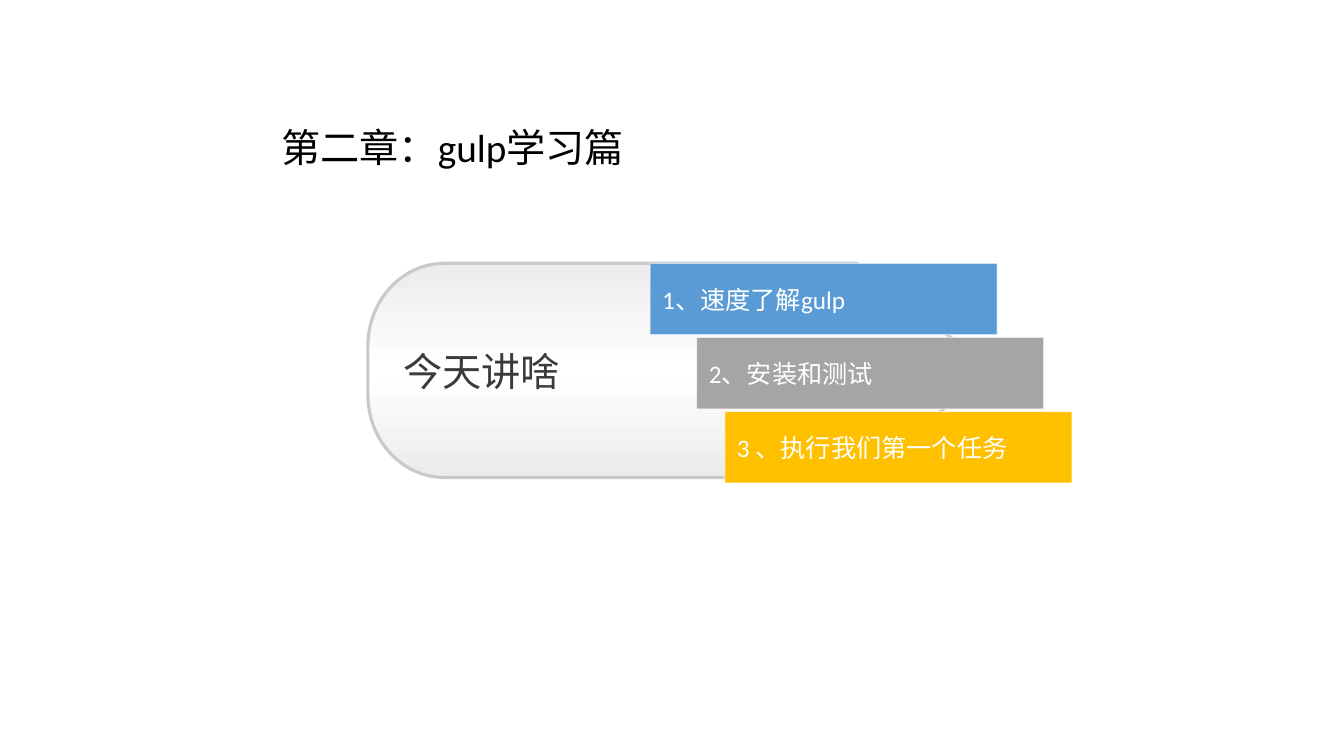
from copy import deepcopy
from math import cos, pi, sin

from lxml import etree
from pptx import Presentation
from pptx.dml.color import RGBColor
from pptx.enum.shapes import MSO_SHAPE
from pptx.enum.text import MSO_ANCHOR, MSO_AUTO_SIZE, PP_ALIGN
from pptx.oxml.ns import qn
from pptx.util import Inches, Pt

RECTANGLE = MSO_SHAPE.RECTANGLE
MIDDLE, TOP = MSO_ANCHOR.MIDDLE, MSO_ANCHOR.TOP
LEFT = PP_ALIGN.LEFT
GROW = MSO_AUTO_SIZE.SHAPE_TO_FIT_TEXT

COLORS = {
    "ink": "000000", "heading": "3B3B3B", "white": "FFFFFF",
    "panel_edge": "C9C9C9", "panel_shade": "ECECEC",
    "blue": "5B9BD5", "gray": "A5A5A5", "gold": "FFC000",
}
LATIN, CJK = "Calibri", "Noto Sans CJK SC"
COLUMNS, ROWS = 160, 90


class AgendaSlide:
    """Hold the slide, its grid and its style."""

    def __init__(self, deck):
        """Add a blank slide and work out the grid cell."""
        self.slide = deck.slides.add_slide(deck.slide_layouts[6])
        self.column = deck.slide_width / COLUMNS
        self.row = deck.slide_height / ROWS

    def place(self, x, y):
        """Turn a grid position or extent into slide units."""
        return round(x * self.column), round(y * self.row)

    def color(self, name):
        """Look up a named colour."""
        return RGBColor.from_string(COLORS[name])

    def add_words(self, shape, words, size, color, font=LATIN, anchor=MIDDLE,
                  insets=(0.1, 0.05, 0.1, 0.05)):
        """Fill a shape with one left-aligned run."""
        frame = shape.text_frame
        frame.word_wrap = True
        frame.vertical_anchor = anchor
        (frame.margin_left, frame.margin_top,
         frame.margin_right, frame.margin_bottom) = map(Inches, insets)
        paragraph = frame.paragraphs[0]
        paragraph.alignment = LEFT
        run = paragraph.add_run()
        run.text = words
        run.font.size = Pt(size)
        run.font.name = font
        run.font.color.rgb = self.color(color)
        properties = run._r.get_or_add_rPr()
        etree.SubElement(properties, qn("a:ea")).set("typeface", CJK)

    def outline(self, shape, color, width, opacity=100):
        """Draw the border and drop the shadow."""
        shape.shadow.inherit = False
        shape.line.color.rgb = self.color(color)
        shape.line.width = Pt(width)
        if opacity < 100:
            edge = shape._element.spPr.find(qn("a:ln")).find(
                ".//" + qn("a:srgbClr"))
            etree.SubElement(edge, qn("a:alpha")).set("val", str(opacity * 1000))

    def title(self, words, x, y, width, height):
        """Add the chapter title."""
        box = self.slide.shapes.add_textbox(
            *self.place(x, y), *self.place(width, height))
        self.add_words(box, words, 28, "ink", anchor=TOP)
        box.text_frame.auto_size = GROW

    def bar(self, words, fill, x, y, width, height):
        """Add one agenda bar."""
        bar = self.slide.shapes.add_shape(
            RECTANGLE, *self.place(x, y), *self.place(width, height))
        bar.fill.solid()
        bar.fill.fore_color.rgb = self.color(fill)
        self.outline(bar, "white", 0.75, opacity=57)
        self.add_words(bar, words, 18, "white", insets=(0.12, 0, 0.12, 0))

    def panel(self, words, x, y, shoulder, tip, height, radii, steps=24):
        """Add the panel with a rounded left end and a pointed right end."""
        across, down = radii

        def corner(start, center_y):
            """Trace a quarter turn, anticlockwise on the slide."""
            angles = [start + pi / 2 * i / steps for i in range(steps + 1)]
            return [(x + across + across * cos(a), center_y - down * sin(a))
                    for a in angles]

        bottom = y + height
        points = [(shoulder, y), *corner(pi / 2, y + down),
                  *corner(pi, bottom - down),
                  (shoulder, bottom), (tip, y + height / 2)]
        points = [self.place(*point) for point in points]
        builder = self.slide.shapes.build_freeform(*points[0])
        builder.add_line_segments(points[1:], close=True)
        panel = builder.convert_to_shape()
        self.shade(panel, ("panel_shade", "white", "panel_shade"))
        self.outline(panel, "panel_edge", 2.25)
        self.add_words(panel, words, 28, "heading", font=CJK,
                       insets=(0.35, 0, 0, 0))

    def shade(self, shape, names):
        """Apply an even vertical gradient of three colours."""
        fill = shape.fill
        fill.gradient()
        fill.gradient_angle = 90
        stop_list = shape._element.spPr.find(".//" + qn("a:gsLst"))
        stop_list.append(deepcopy(stop_list[0]))
        for index, (stop, name) in enumerate(zip(fill.gradient_stops, names)):
            stop.position = index / (len(names) - 1)
            stop.color.rgb = self.color(name)


deck = Presentation()
deck.slide_width, deck.slide_height = Inches(13.33), Inches(7.5)
agenda = AgendaSlide(deck)

AGENDA_TOP, BAR_PITCH = 31.35, 8.82
BAR_WIDTH, BAR_HEIGHT = 41.3, 8.5
topics = [
    ("1、速度了解gulp", "blue", 77.4),
    ("2、安装和测试", "gray", 82.95),
    ("3 、执行我们第一个任务", "gold", 86.3),
]

agenda.panel("今天讲啥", x=43.8, y=AGENDA_TOP, shoulder=102, tip=118.2,
             height=25.5, radii=(9.12, 9.84))
for index, (topic, fill, x) in reversed(list(enumerate(topics))):
    agenda.bar(topic, fill, x, AGENDA_TOP + index * BAR_PITCH,
               BAR_WIDTH, BAR_HEIGHT)
agenda.title("第二章：gulp学习篇", 32.3, 14.04, 78.4, 6.84)

deck.save("out.pptx")
